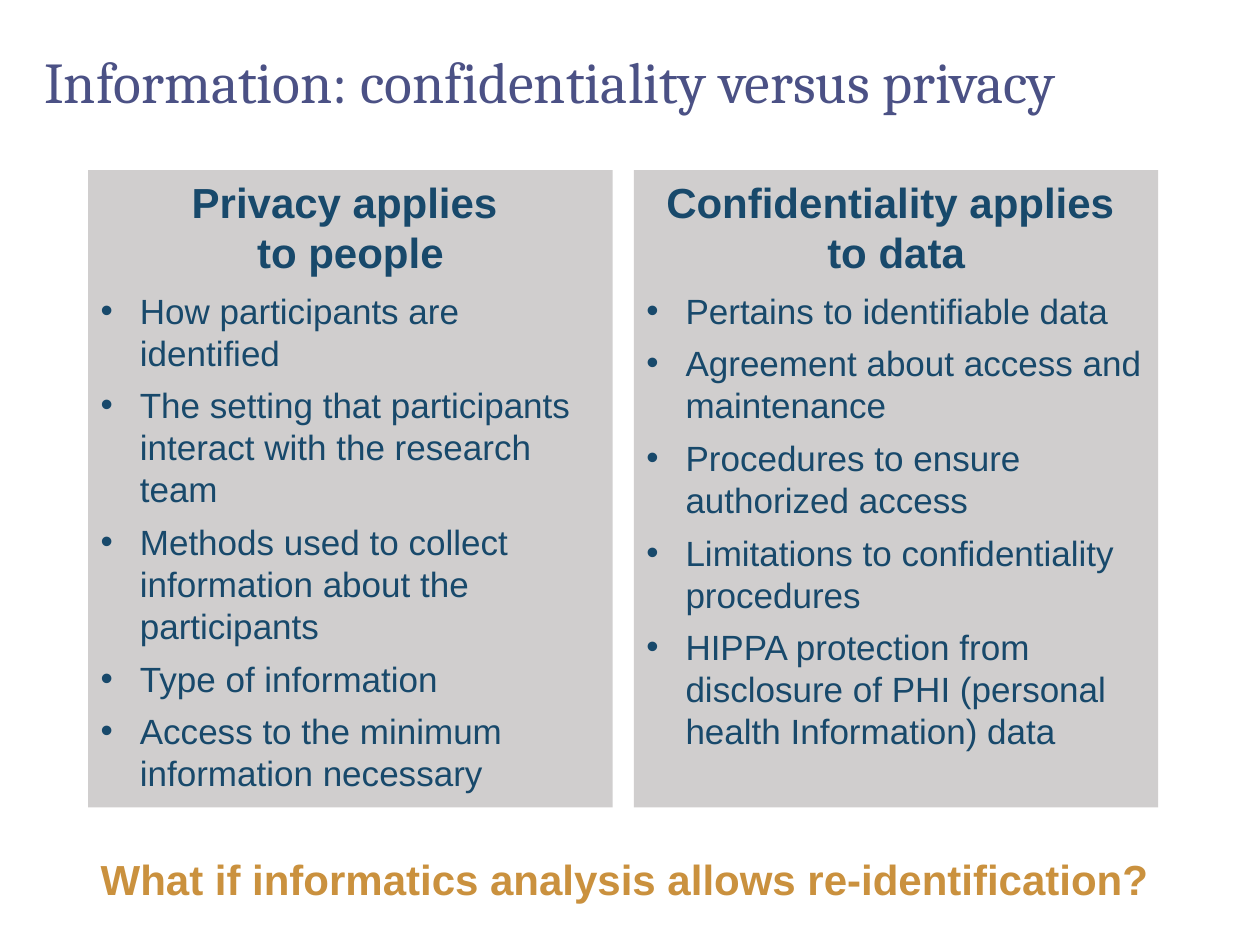
from lxml import etree
from pptx import Presentation
from pptx import util as u
from pptx.dml.color import RGBColor
from pptx.enum import shapes, text
from pptx.oxml.ns import qn

COLORS = {"title": "4B5185", "panel": "D0CECE", "body": "18496B", "question": "CA913E"}
PANEL_TOP, PANEL_WIDTH, PANEL_HEIGHT = u.Cm(3.43), u.Cm(10.57), u.Cm(12.85)
PANEL_LEFT, PANEL_STEP = u.Cm(1.78), u.Cm(11)
INDENT = u.Cm(0.79)

TOPICS = [
    (["Privacy applies ", "to people"],
     ["How participants are identified",
      "The setting that participants interact with the research team",
      "Methods used to collect information about the participants",
      "Type of information",
      "Access to the minimum information necessary"]),
    (["Confidentiality applies ", "to data"],
     ["Pertains to identifiable data",
      "Agreement about access and maintenance",
      "Procedures to ensure authorized access",
      "Limitations to confidentiality procedures",
      "HIPPA protection from disclosure of PHI (personal health Information) data"]),
]


def add_frame(slide, left, top, width, height, wrap=True):
    frame = slide.shapes.add_textbox(left, top, width, height).text_frame
    frame.word_wrap = wrap
    return frame


def write(frame, wording, size=24, color="body", font="Arial", bold=False,
          align=text.PP_ALIGN.LEFT, after=0, spacing=1.0, bullet=False):
    line = frame.paragraphs[0]
    if line.runs:
        line = frame.add_paragraph()
    line.alignment = align
    line.space_after = u.Pt(after)
    line.line_spacing = spacing
    words = line.add_run()
    words.text = wording
    words.font.name = font
    words.font.size = u.Pt(size)
    words.font.bold = bold
    words.font.color.rgb = RGBColor.from_string(COLORS[color])
    if bullet:
        props = line._p.get_or_add_pPr()
        props.set("marL", str(INDENT))
        props.set("indent", str(-INDENT))
        etree.SubElement(props, qn("a:buFont"), typeface="Arial")
        etree.SubElement(props, qn("a:buChar"), char="•")


def add_panel(slide, left):
    panel = slide.shapes.add_shape(shapes.MSO_SHAPE.RECTANGLE, left, PANEL_TOP,
                                   PANEL_WIDTH, PANEL_HEIGHT)
    panel.shadow.inherit = False
    panel.fill.solid()
    panel.fill.fore_color.rgb = RGBColor.from_string(COLORS["panel"])
    panel.line.fill.background()


def add_topic(slide, left, heading, points):
    frame = add_frame(slide, left, PANEL_TOP, PANEL_WIDTH, PANEL_HEIGHT)
    for wording in heading:
        write(frame, wording, bold=True, align=text.PP_ALIGN.CENTER,
              after=7 if wording == heading[-1] else 0)
    for wording in points:
        write(frame, wording, size=20, after=6, bullet=True)


def main():
    deck = Presentation()
    deck.slide_width, deck.slide_height = u.Cm(25.4), u.Cm(19.05)
    slide = deck.slides.add_slide(deck.slide_layouts[6])

    title = add_frame(slide, u.Cm(0.64), u.Cm(0.43), u.Cm(24.16), u.Cm(2.54))
    title.vertical_anchor = text.MSO_ANCHOR.MIDDLE
    write(title, "Information: confidentiality versus privacy", size=33,
          color="title", font="Cambria", spacing=0.9)

    for column, (heading, points) in enumerate(TOPICS):
        left = PANEL_LEFT + column * PANEL_STEP
        add_panel(slide, left)
        add_topic(slide, left, heading, points)

    question = add_frame(slide, PANEL_LEFT, u.Cm(17.09), u.Cm(21.82), u.Cm(1.27), wrap=False)
    write(question, "What if informatics analysis allows re-identification?",
          color="question", bold=True)

    deck.save("out.pptx")


if __name__ == "__main__":
    main()
